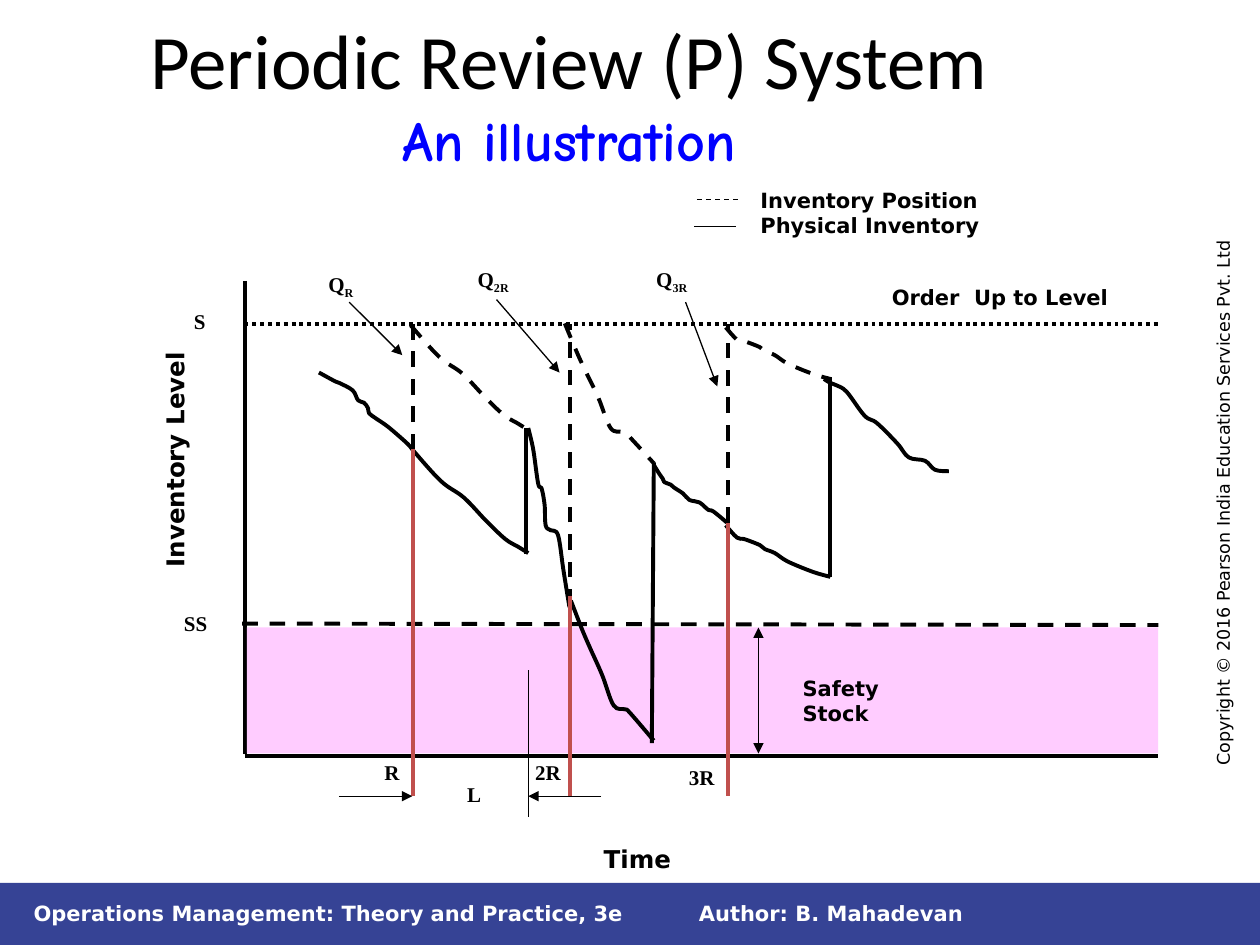
import pptx
import pptx.dml.color
import pptx.enum.dml
import pptx.enum.shapes
import pptx.enum.text
import pptx.oxml
import pptx.oxml.ns
import pptx.util

Cm = pptx.util.Cm
Dash = pptx.enum.dml.MSO_LINE
Align = pptx.enum.text.PP_ALIGN
Anchor = pptx.enum.text.MSO_ANCHOR

COLORS = {"ink": "000000", "white": "FFFFFF", "footer": "364395",
          "safety": "FFCCFF", "review": "C0504D", "subtitle": "0000FF"}
SANS, SERIF = "DejaVu Sans", "Times New Roman"
THICK, THIN = 2.25, 0.75

FIRST_DEMAND = [(1.5, 1.85), (1.83, 2.03), (1.91, 2.06), (2.18, 2.21), (2.29, 2.41),
                (2.41, 2.46), (2.49, 2.57), (2.51, 2.67), (2.64, 2.77), (2.9, 2.95),
                (3.28, 3.28), (3.38, 3.4)]
FIRST_LEAD = [(3.38, 3.4), (3.96, 4.04), (4.42, 4.37), (4.88, 4.85), (5.26, 5.21),
              (5.51, 5.36), (5.72, 5.49)]
SECOND_DEMAND = [(5.72, 2.97), (5.82, 3.4), (5.92, 4.09), (5.99, 4.19), (6.05, 4.52),
                 (6.07, 4.93), (6.17, 5.03), (6.32, 5.13), (6.43, 5.84), (6.55, 6.58)]
SECOND_LEAD = [(6.58, 6.45), (6.81, 7.04), (6.96, 7.39), (7.21, 7.95), (7.44, 8.56),
               (7.67, 8.64), (7.77, 8.71), (8.25, 9.27)]
THIRD_DEMAND = [(8.25, 3.71), (8.36, 3.89), (8.43, 3.99), (8.46, 4.06), (8.59, 4.11),
                (8.66, 4.17), (8.84, 4.29), (8.97, 4.42), (9.17, 4.47), (9.35, 4.62),
                (9.45, 4.65), (9.73, 4.88)]
THIRD_LEAD = [(9.7, 4.93), (9.93, 5.18), (10.08, 5.21), (10.39, 5.33), (10.49, 5.41),
              (10.69, 5.49), (10.95, 5.66), (11.46, 5.87), (11.81, 5.97)]
LAST_DEMAND = [(11.68, 1.98), (11.81, 2.06), (11.94, 2.11), (12.14, 2.24), (12.5, 2.72),
               (12.75, 2.87), (13.16, 3.28), (13.39, 3.56), (13.72, 3.63), (13.92, 3.81),
               (14.2, 3.84)]


def rgb(name):
    return pptx.dml.color.RGBColor.from_string(COLORS[name])


def format_run(run, size=12, font=SANS, color="ink", bold=True):
    run.font.size = pptx.util.Pt(size)
    run.font.name = font
    run.font.bold = bold
    run.font.color.rgb = rgb(color)


def add_text(slide, text, left, top, width, height=0.76, sub="", align=Align.LEFT,
             anchor=Anchor.TOP, wrap=False, rotation=0, **font):
    shape = slide.shapes.add_textbox(Cm(left), Cm(top), Cm(width), Cm(height))
    shape.rotation = rotation
    frame = shape.text_frame
    frame.word_wrap = wrap
    frame.vertical_anchor = anchor
    for index, line in enumerate(text.split("\n")):
        paragraph = frame.paragraphs[0] if index == 0 else frame.add_paragraph()
        paragraph.alignment = align
        run = paragraph.add_run()
        run.text = line
        format_run(run, **font)
    if sub:
        run = paragraph.add_run()
        run.text = sub
        format_run(run, **font)
        run._r.get_or_add_rPr().set("baseline", "-25000")
    return shape


def add_block(slide, left, top, width, height, color):
    shape = slide.shapes.add_shape(pptx.enum.shapes.MSO_SHAPE.RECTANGLE,
                                   Cm(left), Cm(top), Cm(width), Cm(height))
    shape.shadow.inherit = False
    shape.fill.solid()
    shape.fill.fore_color.rgb = rgb(color)
    shape.line.fill.background()


def format_line(line, weight, color="ink", dash=None):
    line.width = pptx.util.Pt(weight)
    line.color.rgb = rgb(color)
    if dash:
        line.dash_style = dash


def add_line(slide, x1, y1, x2, y2, weight=THICK, color="ink", dash=None, arrows=()):
    connector = slide.shapes.add_connector(pptx.enum.shapes.MSO_CONNECTOR.STRAIGHT,
                                           Cm(x1), Cm(y1), Cm(x2), Cm(y2))
    format_line(connector.line, weight, color, dash)
    properties = connector._element.spPr
    for end in arrows:
        arrow = pptx.oxml.parse_xml(
            f'<a:{end} {pptx.oxml.ns.nsdecls("a")} type="triangle"/>')
        properties.get_or_add_ln().append(arrow)
    properties.append(pptx.oxml.parse_xml(f'<a:effectLst {pptx.oxml.ns.nsdecls("a")}/>'))


def bezier_points(points):
    padded = [points[0], *points, points[-1]]
    result = [points[0]]
    for before, start, end, after in zip(padded, padded[1:], padded[2:], padded[3:]):
        result.append(tuple(s + (e - b) / 6 for b, s, e in zip(before, start, end)))
        result.append(tuple(e - (a - s) / 6 for s, e, a in zip(start, end, after)))
        result.append(end)
    return result


def add_curve(slide, left, top, points, dash=None):
    outline = [(Cm(left + x), Cm(top + y)) for x, y in bezier_points(points)]
    builder = slide.shapes.build_freeform(*outline[0])
    builder.add_line_segments(outline[1:], close=False)
    shape = builder.convert_to_shape()
    segments = shape._element.findall(".//" + pptx.oxml.ns.qn("a:lnTo"))
    for first, second, third in zip(segments[::3], segments[1::3], segments[2::3]):
        curve = pptx.oxml.parse_xml(f'<a:cubicBezTo {pptx.oxml.ns.nsdecls("a")}/>')
        first.addprevious(curve)
        for segment in (first, second, third):
            curve.append(segment[0])
            segment.getparent().remove(segment)
    shape.shadow.inherit = False
    shape.fill.background()
    format_line(shape.line, THICK, dash=dash)


def raise_curve(points, rise, shift=0, stretch=1):
    end = points[-1][0]
    return [(end - (end - x) * stretch + shift, y - rise) for x, y in points]


def add_title(slide, left, top, width, height):
    title = slide.shapes.title
    title.left, title.top, title.width, title.height = map(Cm, (left, top, width, height))
    frame = title.text_frame
    frame.auto_size = pptx.enum.text.MSO_AUTO_SIZE.NONE
    frame.vertical_anchor = Anchor.TOP
    paragraph = frame.paragraphs[0]
    paragraph.alignment = Align.CENTER
    run = paragraph.add_run()
    run.text = "Periodic Review (P) System"
    format_run(run, size=44, font="Calibri", bold=False)
    paragraph.add_line_break()
    run = paragraph.add_run()
    run.text = "An illustration"
    format_run(run, size=32, font="Comic Neue", color="subtitle")


def add_footer(slide, left, top, width, height):
    add_block(slide, left, top, width, height, "footer")
    for text, x, text_width in (("Author: B. Mahadevan", 13.84, 11.5),
                                ("Operations Management: Theory and Practice, 3e", 0.43, 12.7)):
        add_text(slide, text, left + x, top + 0.23, text_width, wrap=True,
                 anchor=Anchor.MIDDLE, color="white")


def add_legend(slide, left, top):
    label = add_text(slide, "Inventory Position\nPhysical Inventory",
                     left + 0.2, top, 5.84, 1.27)
    label.text_frame.margin_left = Cm(1.13)
    add_line(slide, left + 0.05, top + 0.36, left + 0.91, top + 0.36, THIN, dash=Dash.DASH)
    add_line(slide, left, top + 0.91, left + 0.84, top + 0.91, THIN)


def add_inventory_chart(slide, left, top, width, height):
    def line(x1, y1, x2, y2, **style):
        add_line(slide, left + x1, top + y1, left + x2, top + y2, **style)

    def label(text, x, y, label_width, **style):
        add_text(slide, text, left + x, top + y, label_width, **style)

    order_level, safety_level, foot = 0.87, 6.91, 10.39
    reviews = [3.39 + 3.175 * index for index in range(3)]
    line(0, 0, 0, height - 0.05)
    line(0, height, width, height)
    line(-0.05, safety_level, width, safety_level + 0.03, dash=Dash.DASH)
    add_block(slide, left + 0.05, top + 6.99, width - 0.05, 2.54, "safety")
    line(0, order_level, width, order_level, dash=Dash.ROUND_DOT)

    for points in (FIRST_DEMAND, FIRST_LEAD, SECOND_DEMAND, SECOND_LEAD,
                   THIRD_DEMAND, THIRD_LEAD, LAST_DEMAND):
        add_curve(slide, left, top, points)
    for points in (raise_curve(FIRST_LEAD, 2.5, shift=-0.03),
                   raise_curve(SECOND_LEAD, 5.59, stretch=1.075),
                   raise_curve(THIRD_LEAD, 3.99)):
        add_curve(slide, left, top, points, Dash.DASH)

    for x, stock, red_top in zip(reviews, (3.4, 6.53, 4.88), (3.4, 6.35, 4.88)):
        line(x, stock, x, order_level, dash=Dash.DASH)
        line(x, red_top, x, foot, color="review")
    for x1, low, x2, high in ((5.68, 5.51, 5.68, 2.97), (8.21, 9.32, 8.25, 3.66),
                              (11.81, 5.97, 11.81, 1.93)):
        line(x1, low, x2, high)

    line(5.72, 7.85, 5.72, 10.8, weight=THIN)
    for arrow in ((1.9, foot, 3.38, foot), (7.19, foot, 5.72, foot),
                  (8.89, 0.43, 9.53, 2.13), (5.08, 0.38, 6.35, 1.85),
                  (2.11, 0.43, 3.18, 1.5)):
        line(*arrow, weight=THIN, arrows=("tailEnd",))
    line(10.36, 6.99, 10.36, 9.53, weight=THIN, arrows=("headEnd", "tailEnd"))

    for text, x, y, label_width, sub in (
            ("S", -1.27, 0.43, 0.74, ""), ("SS", -1.47, 6.53, 0.99, ""),
            ("R", 2.57, 9.53, 0.81, ""), ("2R", 5.61, 9.53, 1.02, ""),
            ("3R", 8.71, 9.63, 1.02, ""), ("L", 4.24, 9.97, 0.79, ""),
            ("Q", 1.44, -0.31, 1.04, "R"), ("Q", 4.45, -0.41, 1.24, "2R"),
            ("Q", 8.05, -0.41, 1.24, "3R")):
        label(text, x, y, label_width, sub=sub, font=SERIF)
    label("Inventory Level", -3.86, 3.16, 4.9, height=0.84, size=14, rotation=270)
    label("Time", 6.99, 11.23, 2, height=0.84, size=14)
    label("Safety Stock", 11, 7.83, 3.4, wrap=True)
    label("Order  Up to Level", 12.27, -0.05, 5.92, wrap=True, align=Align.CENTER)


def main():
    presentation = pptx.Presentation()
    presentation.slide_width, presentation.slide_height = Cm(25.4), Cm(19.05)
    slide = presentation.slides.add_slide(presentation.slide_layouts[5])
    add_footer(slide, 0, 17.8, 25.4, 1.25)
    add_text(slide, "Copyright © 2016 Pearson India Education Services Pvt. Ltd",
             18.93, 9.6, 11.46, 0.69, wrap=True, rotation=270, size=10, bold=False)
    add_inventory_chart(slide, 4.93, 5.66, 18.42, 9.58)
    add_legend(slide, 14, 3.66)
    add_title(slide, 0.05, 0.13, 22.86, 3.18)
    presentation.save("out.pptx")


if __name__ == "__main__":
    main()
